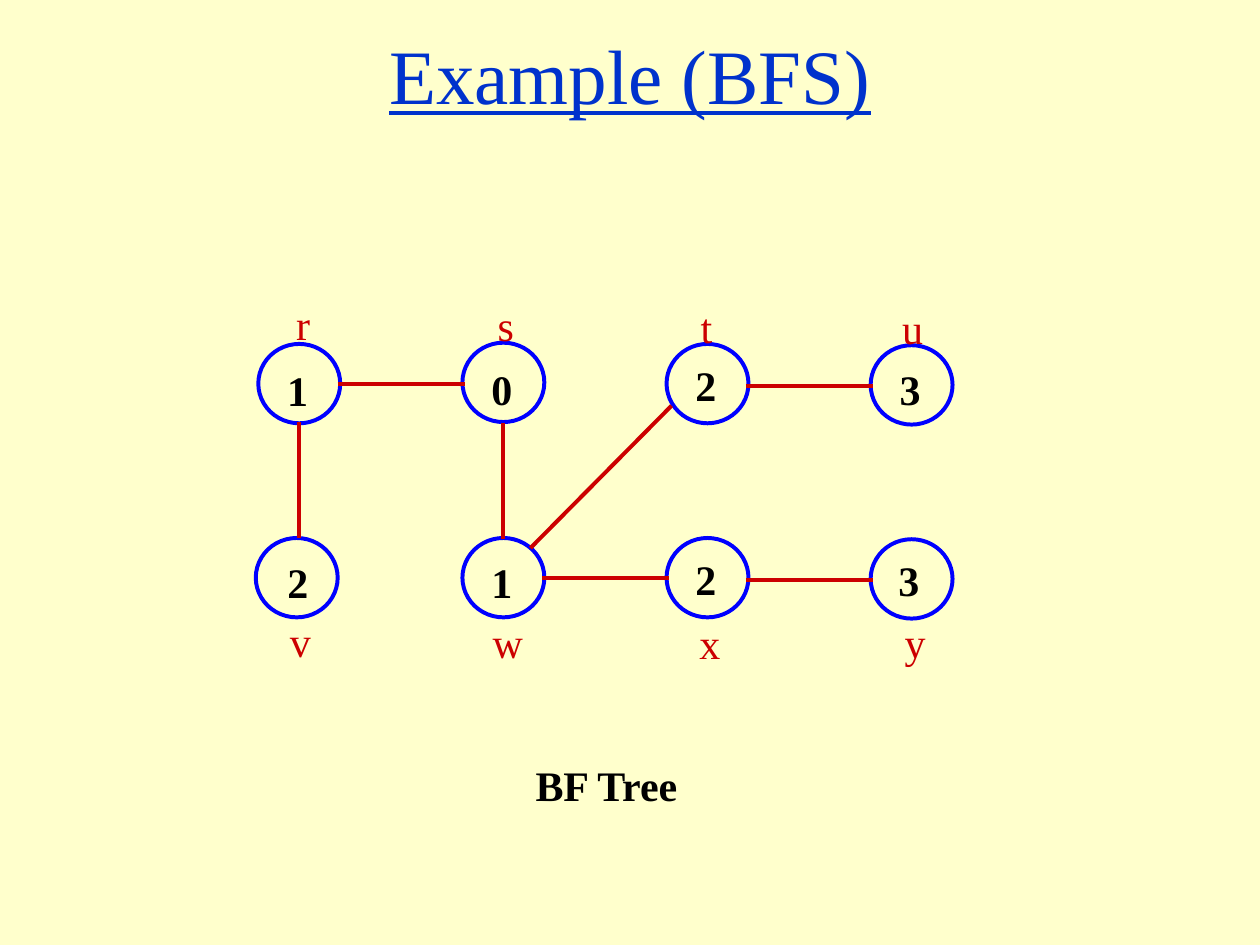
from dataclasses import dataclass

from lxml import etree
from pptx import Presentation
from pptx import util as u
from pptx.dml.color import RGBColor
from pptx.enum import shapes, text
from pptx.oxml.ns import qn

CREAM = RGBColor(0xFF, 0xFF, 0xCC)
TITLE_BLUE = RGBColor(0x00, 0x32, 0xCC)
NODE_BLUE = RGBColor(0x00, 0x00, 0xFF)
RED = RGBColor(0xCC, 0x00, 0x00)
BLACK = RGBColor(0x00, 0x00, 0x00)
FONT = "Times New Roman"
LINE = u.Pt(2.28)
NODE_W, NODE_H = 0.65, 0.63


@dataclass(frozen=True)
class Node:
    name: str
    distance: str
    left: float
    top: float
    text_left: float
    text_top: float
    text_width: float
    name_indent: float
    gap: float
    name_above: bool


@dataclass(frozen=True)
class Edge:
    x1: float
    y1: float
    x2: float
    y2: float


NODES = [
    Node("r", "1", 2.05, 2.73, 2.27, 2.37, 0.20, 0.08, 8.7, True),
    Node("s", "0", 3.67, 2.72, 3.89, 2.38, 0.20, 0.06, 7.5, True),
    Node("t", "2", 5.29, 2.73, 5.51, 2.39, 0.19, 0.05, 4.8, True),
    Node("u", "3", 6.91, 2.74, 7.13, 2.40, 0.22, 0.03, 6.0, True),
    Node("v", "2", 2.03, 4.27, 2.27, 4.42, 0.21, 0.03, 4.5, False),
    Node("w", "1", 3.67, 4.27, 3.89, 4.42, 0.28, 0.02, 5.3, False),
    Node("x", "2", 5.29, 4.27, 5.51, 4.39, 0.22, 0.04, 7.7, False),
    Node("y", "3", 6.91, 4.28, 7.12, 4.40, 0.24, 0.06, 6.5, False),
]

EDGES = [
    Edge(2.68, 3.05, 3.69, 3.05),
    Edge(5.92, 3.06, 6.93, 3.06),
    Edge(4.30, 4.59, 5.31, 4.59),
    Edge(5.92, 4.60, 6.93, 4.60),
    Edge(2.37, 3.35, 2.37, 4.27),
    Edge(3.99, 3.36, 3.99, 4.28),
    Edge(4.21, 4.35, 5.33, 3.22),
]


def add_box(s, left: float, top: float, width: float, height: float):
    sp = s.shapes.add_textbox(*map(u.Inches, (left, top, width, height)))
    tf = sp.text_frame
    tf.margin_left = tf.margin_right = tf.margin_top = tf.margin_bottom = 0
    tf.word_wrap = True
    tf.auto_size = text.MSO_AUTO_SIZE.SHAPE_TO_FIT_TEXT
    return tf


def write(p, content: str, *, size: float = 24, color: RGBColor = BLACK,
          bold: bool = False, underline: bool = False, align=None,
          indent: float = 0, before: float = 0) -> None:
    if indent:
        p._p.get_or_add_pPr().set("marL", str(u.Inches(indent)))
    if before:
        p.space_before = u.Pt(before)
    if align is not None:
        p.alignment = align
    r = p.add_run()
    r.text = content
    r.font.name = FONT
    r.font.size = u.Pt(size)
    r.font.bold = bold
    r.font.underline = underline
    r.font.color.rgb = color


def add_circle(s, node: Node) -> None:
    sp = s.shapes.add_shape(
        shapes.MSO_SHAPE.OVAL,
        *map(u.Inches, (node.left, node.top, NODE_W, NODE_H)))
    sp.shadow.inherit = False
    sp.fill.background()
    sp.line.color.rgb = NODE_BLUE
    sp.line.width = LINE


def add_edge(s, edge: Edge) -> None:
    cxn = s.shapes.add_connector(
        shapes.MSO_CONNECTOR.STRAIGHT,
        *map(u.Inches, (edge.x1, edge.y1, edge.x2, edge.y2)))
    cxn.line.color.rgb = RED
    cxn.line.width = LINE
    etree.SubElement(cxn._element.spPr, qn("a:effectLst"))


def add_node_text(s, node: Node) -> None:
    tf = add_box(s, node.text_left, node.text_top, node.text_width, 0.85)
    name = (node.name, dict(color=RED, indent=node.name_indent))
    distance = (node.distance, dict(bold=True, indent=0.01))
    first, second = (name, distance) if node.name_above else (distance, name)
    write(tf.paragraphs[0], first[0], **first[1])
    write(tf.add_paragraph(), second[0], before=node.gap, **second[1])


def main() -> None:
    """Build the breadth-first search example slide."""
    prs = Presentation()
    prs.slide_width, prs.slide_height = u.Inches(10), u.Inches(7.5)
    s = prs.slides.add_slide(prs.slide_layouts[6])
    s.background.fill.solid()
    s.background.fill.fore_color.rgb = CREAM

    title = add_box(s, 1.05, 0.22, 7.9, 0.64)
    write(title.paragraphs[0], "Example (BFS)", size=44, color=TITLE_BLUE,
          underline=True, align=text.PP_ALIGN.CENTER)
    for node in NODES:
        add_circle(s, node)
    for edge in EDGES:
        add_edge(s, edge)
    for node in NODES:
        add_node_text(s, node)
    caption = add_box(s, 4.24, 6.03, 1.15, 0.36)
    write(caption.paragraphs[0], "BF Tree", bold=True, indent=0.01)
    prs.save("out.pptx")


if __name__ == "__main__":
    main()
